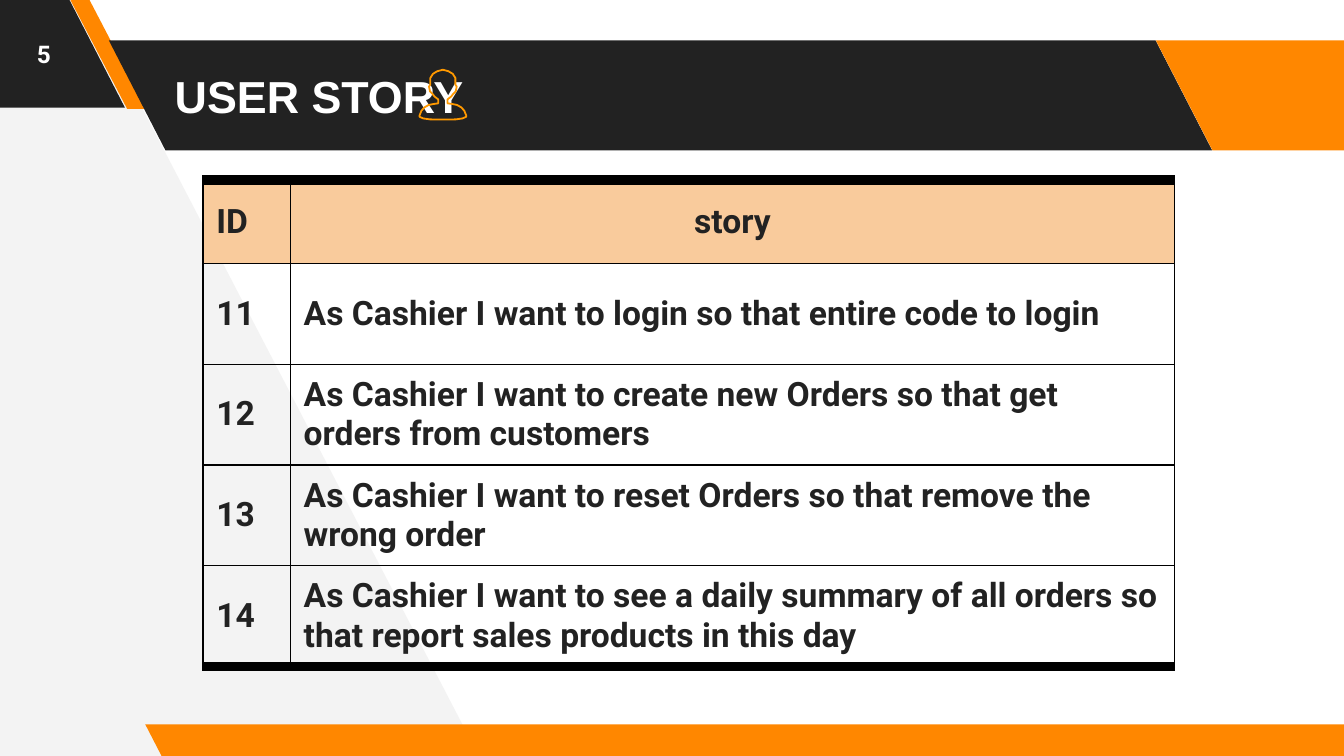
from dataclasses import dataclass

from lxml import etree
from pptx import Presentation
from pptx.dml.color import RGBColor
from pptx.enum.shapes import MSO_SHAPE
from pptx.enum.text import MSO_ANCHOR, PP_ALIGN
from pptx.oxml.ns import qn
from pptx.util import Pt

PARALLELOGRAM = MSO_SHAPE.PARALLELOGRAM
MIDDLE = MSO_ANCHOR.MIDDLE
LEFT, CENTER = PP_ALIGN.LEFT, PP_ALIGN.CENTER
TITLE_ONLY = 5

COLORS = {
    "dark": "222222",
    "orange": "FF8700",
    "icon": "FF9900",
    "pale": "F3F3F3",
    "header": "F9CB9C",
    "white": "FFFFFF",
    "border": "000000",
}
THIN, THICK = 0.75, 6
INSET = 7.2


@dataclass
class Band:
    left: float
    top: float
    width: float
    height: float
    color: str
    slant: float = 0.515


@dataclass
class TextStyle:
    size: float
    color: str
    font: str = "Roboto"
    align: int = LEFT


BANDS = [
    Band(-71.3, -1.4, 138.2, 59, "dark"),
    Band(37.4, -0.7, 41, 59, "orange", 0.75),
    Band(58.3, 21.6, 591.1, 59, "dark"),
    Band(619.2, 21.6, 138.2, 59, "orange"),
    Band(77.8, 388, 658.8, 18, "orange"),
]
WEDGE = [(256.3, 404.6), (44.6, -2.9), (-4.3, -2.9), (-1.4, 407.5)]

# Right half of the person icon, as offsets from its vertical axis
ICON_AXIS = 237.3
ICON_HALF = [
    (0, 37.4), (3, 38.2), (5.3, 39.6), (6.7, 41.8), (6.7, 45.4), (7.4, 46.4),
    (6.9, 49), (5.5, 50.4), (4.4, 51.8), (2.5, 53.3), (2.5, 55.4), (5.3, 55.8),
    (7.6, 56.3), (9.9, 57.6), (11.5, 59.4), (12.5, 61.9), (12.5, 62.6),
    (10.5, 63.5), (7, 64), (0, 64.1),
]

STORIES = [
    ("ID", "story"),
    ("11", "As Cashier I want to login so that entire code to login"),
    ("12", "As Cashier I want to create new Orders so that get orders from customers"),
    ("13", "As Cashier I want to reset Orders so that remove the wrong order"),
    ("14", "As Cashier I want to see a daily summary of all orders so that "
           "report sales products in this day"),
]
COLUMN_WIDTHS = [46.8, 473.8]
HEADER_HEIGHT, STORY_HEIGHT = 44.6, 54


def rgb(name: str) -> RGBColor:
    return RGBColor.from_string(COLORS[name])


def fill_solid(target, color: str) -> None:
    target.fill.solid()
    target.fill.fore_color.rgb = rgb(color)


def add_band(slide, band: Band) -> None:
    shape = slide.shapes.add_shape(
        PARALLELOGRAM, Pt(band.left), Pt(band.top), Pt(band.width), Pt(band.height))
    shape.adjustments[0] = band.slant
    shape.element.spPr.find(qn("a:xfrm")).set("flipH", "1")
    shape.shadow.inherit = False
    fill_solid(shape, band.color)
    shape.line.fill.background()


def add_outline(slide, points: list[tuple[float, float]]):
    start, *rest = [(Pt(x), Pt(y)) for x, y in points]
    builder = slide.shapes.build_freeform(*start)
    builder.add_line_segments(rest)
    shape = builder.convert_to_shape()
    shape.shadow.inherit = False
    return shape


def add_person_icon(slide) -> None:
    right = [(ICON_AXIS + x, y) for x, y in ICON_HALF]
    left = [(ICON_AXIS - x, y) for x, y in reversed(ICON_HALF[1:-1])]
    icon = add_outline(slide, right + left)
    icon.fill.background()
    icon.line.color.rgb = rgb("icon")
    icon.line.width = Pt(0.96)


def write_text(text_frame, text: str, style: TextStyle) -> None:
    text_frame.text = text
    para = text_frame.paragraphs[0]
    para.alignment = style.align
    font = para.runs[0].font
    font.name = style.font
    font.size = Pt(style.size)
    font.bold = True
    font.color.rgb = rgb(style.color)


def write_box(box, text: str, style: TextStyle) -> None:
    frame = box.text_frame
    frame.word_wrap = True
    frame.vertical_anchor = MIDDLE
    frame.margin_left = frame.margin_right = Pt(INSET)
    frame.margin_top = frame.margin_bottom = Pt(INSET)
    write_text(frame, text, style)


def set_borders(cell, top: float, bottom: float) -> None:
    properties = cell._tc.get_or_add_tcPr()
    for side, width in (("L", THIN), ("R", THIN), ("T", top), ("B", bottom)):
        line = etree.SubElement(properties, qn(f"a:ln{side}"), w=str(Pt(width)))
        fill = etree.SubElement(line, qn("a:solidFill"))
        etree.SubElement(fill, qn("a:srgbClr"), val=COLORS["border"])


def add_story_table(slide) -> None:
    heights = [HEADER_HEIGHT] + [STORY_HEIGHT] * (len(STORIES) - 1)
    table = slide.shapes.add_table(
        len(STORIES), len(COLUMN_WIDTHS), Pt(108.7), Pt(96.5),
        Pt(sum(COLUMN_WIDTHS)), Pt(sum(heights))).table
    table.first_row = table.horz_banding = False
    for column, width in zip(table.columns, COLUMN_WIDTHS):
        column.width = Pt(width)

    last = len(STORIES) - 1
    for row_index, texts in enumerate(STORIES):
        table.rows[row_index].height = Pt(heights[row_index])
        is_header = row_index == 0
        for column_index, text in enumerate(texts):
            cell = table.cell(row_index, column_index)
            set_borders(cell, THICK if is_header else THIN,
                        THICK if row_index == last else THIN)
            if is_header:
                fill_solid(cell, "header")
            else:
                cell.fill.background()
            cell.vertical_anchor = MIDDLE
            cell.margin_left = cell.margin_right = Pt(INSET)
            cell.margin_top = cell.margin_bottom = Pt(5)
            align = CENTER if is_header and column_index == 1 else LEFT
            write_text(cell.text_frame, text, TextStyle(18, "dark", align=align))


def main() -> None:
    deck = Presentation()
    deck.slide_width, deck.slide_height = Pt(720), Pt(405)
    slide = deck.slides.add_slide(deck.slide_layouts[TITLE_ONLY])

    wedge = add_outline(slide, WEDGE)
    fill_solid(wedge, "pale")
    wedge.line.fill.background()
    for band in BANDS:
        add_band(slide, band)

    title = slide.shapes.title
    title.element.getparent().append(title.element)  # bring in front of the bands
    title.left, title.top, title.width, title.height = Pt(86.4), Pt(21.6), Pt(596.2), Pt(59)
    write_box(title, "USER STORY", TextStyle(24, "white", "Arial"))

    number_box = slide.shapes.add_textbox(Pt(0), Pt(0), Pt(46.8), Pt(57.6))
    write_box(number_box, "5", TextStyle(13, "white", align=CENTER))

    add_person_icon(slide)
    add_story_table(slide)
    deck.save("out.pptx")


if __name__ == "__main__":
    main()
